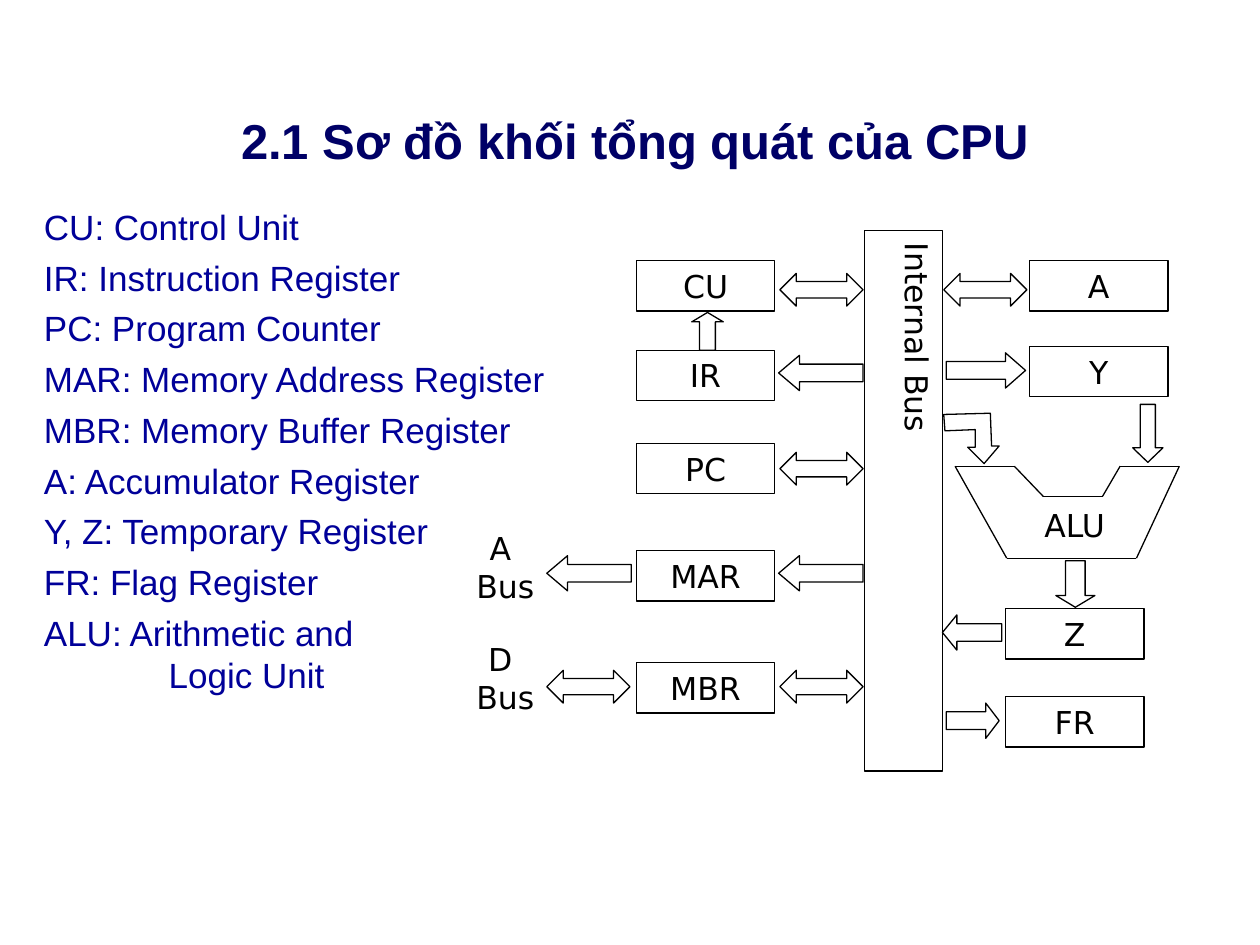
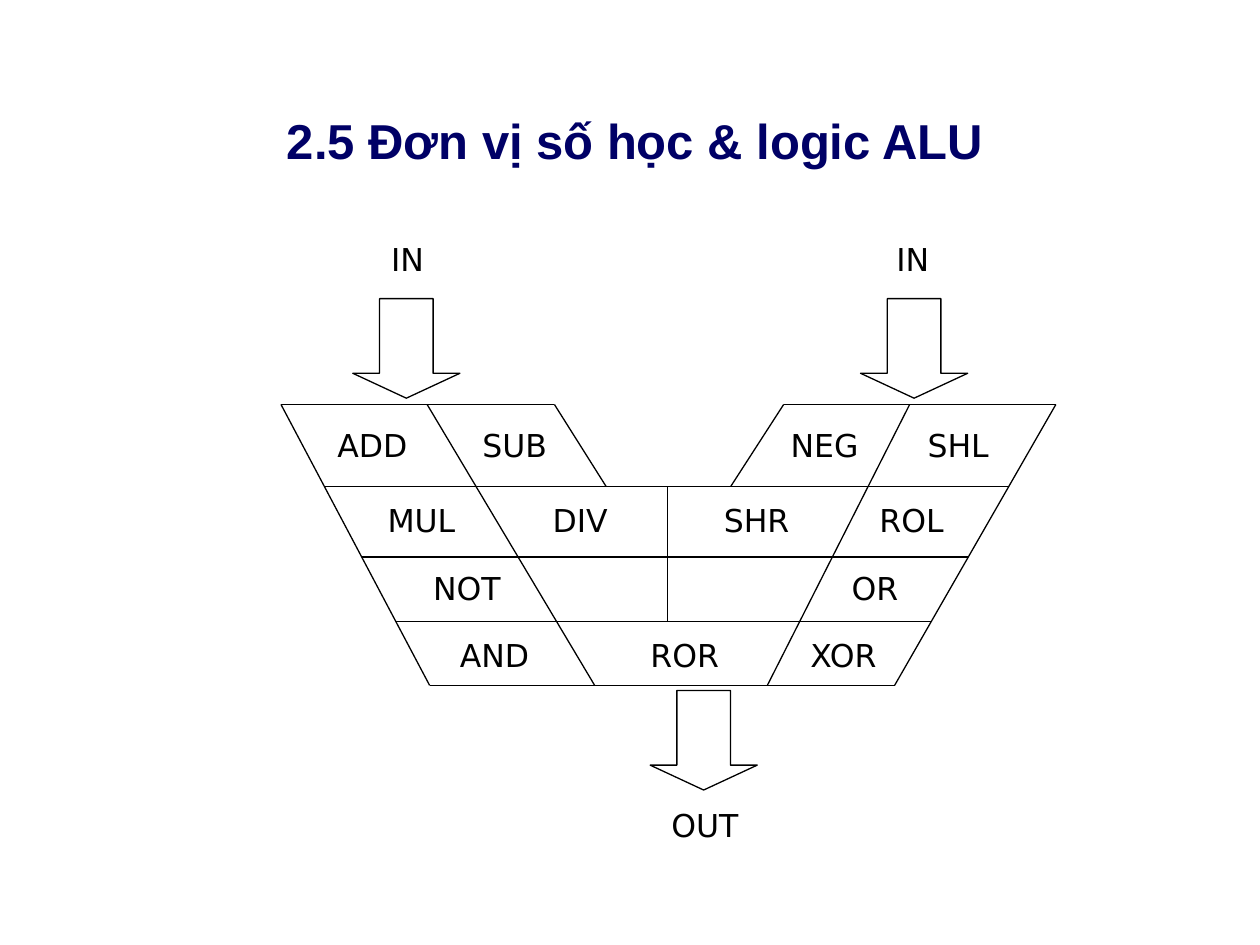
from itertools import pairwise

from lxml import etree
from pptx import Presentation
from pptx import util as u
from pptx.dml.color import RGBColor
from pptx.enum import shapes, text
from pptx.oxml.ns import qn

THEME = {
    "title": {"name": "Arial", "size": 28, "color": "000066", "bold": True},
    "body": {"name": "Arial", "size": 20, "color": "000099", "bold": False},
    "label": {"name": "DejaVu Sans", "size": 18, "color": "000000", "bold": False},
    "line": {"color": "000000", "width": 0.75},
}
SIZE = (10, 7.5)
TITLE_BOX = (0.25, 0.83, 9.58, 0.57)
LEFT, CENTER = text.PP_ALIGN.LEFT, text.PP_ALIGN.CENTER
ARROWS = {
    "both": shapes.MSO_SHAPE.LEFT_RIGHT_ARROW,
    "left": shapes.MSO_SHAPE.LEFT_ARROW,
    "right": shapes.MSO_SHAPE.RIGHT_ARROW,
    "up": shapes.MSO_SHAPE.UP_ARROW,
    "down": shapes.MSO_SHAPE.DOWN_ARROW,
}

CPU_TITLE = "2.1 Sơ đồ khối tổng quát của CPU"
GLOSSARY = [
    "CU: Control Unit", "IR: Instruction Register", "PC: Program Counter",
    "MAR: Memory Address Register", "MBR: Memory Buffer Register",
    "A: Accumulator Register", "Y, Z: Temporary Register",
    "FR: Flag Register", "ALU: Arithmetic and \vLogic Unit",
]
GLOSSARY_BOX = (0.25, 1.58, 4.35, 5.12)
GLOSSARY_HANG = 0.99
BLOCK = (1.1, 0.4)
BLOCK_COLUMNS = {
    5.05: [("CU", 2.07), ("IR", 2.78), ("PC", 3.52), ("MAR", 4.37), ("MBR", 5.26)],
    8.17: [("A", 2.07), ("Y", 2.75)],
    7.98: [("Z", 4.83), ("FR", 5.53)],
}
INTERNAL_BUS = ("Internal Bus", (6.86, 1.83, 0.62, 4.29))
EXTERNAL_BUSES = [("A \vBus", 4.15), ("D \vBus", 5.03)]
BUS_ARROWS = [
    ("both", 0.5, (0.66, 0.26),
     [(6.19, 2.17), (6.19, 3.59), (6.19, 5.32), (4.34, 5.32), (7.49, 2.17)]),
    ("left", 0.59, (0.67, 0.28), [(6.18, 2.82), (6.18, 4.41), (4.34, 4.41)]),
    ("left", 0.41, (0.47, 0.28), [(7.48, 4.88)]),
    ("right", 0.57, (0.63, 0.28), [(7.51, 2.8)]),
    ("right", 0.38, (0.42, 0.28), [(7.51, 5.58)]),
    ("up", 0.3, (0.25, 0.3), [(5.49, 2.48)]),
    ("down", 0.48, (0.24, 0.46), [(8.99, 3.21)]),
    ("down", 0.3, (0.31, 0.37), [(8.38, 4.45)]),
]
BENT_ARROW = [(7.81, 3.68), (7.68, 3.55), (7.74, 3.55), (7.74, 3.41), (7.5, 3.42),
              (7.49, 3.29), (7.86, 3.28), (7.87, 3.54), (7.93, 3.54)]
ALU_OUTLINE = [(7.58, 3.7), (8.05, 3.7), (8.28, 3.94), (8.75, 3.94),
               (8.89, 3.7), (9.36, 3.7), (9.02, 4.43), (7.99, 4.43)]
ALU_LABEL = ("ALU", (8.19, 3.97, 0.79, 0.4))

ALU_TITLE = "2.5 Đơn vị số học & logic ALU"
ROW_LINES = [3.21, 3.86, 4.42, 4.93, 5.44]
LEFT_EDGE, RIGHT_EDGE = (2.23, 3.41), (8.38, 7.1)
NOTCH = [(4.4, 4.81), (6.22, 5.8)]
DIVIDERS = [(3.39, 4.72), (7.22, 6.09)]
MIDDLE = 5.3
OPERATIONS = [
    (3.33, [("ADD", 2.52), ("SUB", 3.65), ("NEG", 6.11), ("SHL", 7.17)]),
    (3.93, [("MUL", 2.91), ("DIV", 4.17), ("SHR", 5.57), ("ROL", 6.8)]),
    (4.47, [("NOT", 3.27), ("OR", 6.51)]),
    (5, [("AND", 3.49), ("ROR", 5), ("XOR", 6.26)]),
    (1.86, [("IN", 2.8), ("IN", 6.81)]),
    (6.35, [("OUT", 5.16)]),
]
OPERATION = (0.87, 0.4)
PORT_ARROW = (0.85, 0.79)
PORTS = [(2.8, 2.37), (6.83, 2.37), (5.16, 5.48)]


def inches(values):
    return [u.Inches(v) for v in values]


def outline(line):
    line.color.rgb = RGBColor.from_string(THEME["line"]["color"])
    line.width = u.Pt(THEME["line"]["width"])


def write(sp, paragraphs, style, align=CENTER, before=0):
    tf = sp.text_frame
    for key, value in {"word_wrap": True,
                       "vertical_anchor": text.MSO_ANCHOR.TOP}.items():
        setattr(tf, key, value)
    look = THEME[style]
    for i, words in enumerate(paragraphs):
        p = tf.paragraphs[0] if i == 0 else tf.add_paragraph()
        p.text = words
        p.alignment, p.space_before = align, u.Pt(before)
        for r in p.runs:
            for key, value in {"name": look["name"], "size": u.Pt(look["size"]),
                               "bold": look["bold"]}.items():
                setattr(r.font, key, value)
            r.font.color.rgb = RGBColor.from_string(look["color"])
    return tf


def add_text(s, box, paragraphs, style="label", align=CENTER, before=0):
    return write(s.shapes.add_textbox(*inches(box)), paragraphs, style, align, before)


def hollow(sp):
    sp.shadow.inherit = False
    sp.fill.background()
    outline(sp.line)
    return sp


def add_block(s, box, words, align=CENTER):
    sp = hollow(s.shapes.add_shape(shapes.MSO_SHAPE.RECTANGLE, *inches(box)))
    return write(sp, [words], "label", align)


def add_arrow(s, kind, head, box):
    sp = hollow(s.shapes.add_shape(ARROWS[kind], *inches(box)))
    sp.adjustments[0], sp.adjustments[1] = 0.5, head


def add_line(s, start, end):
    c = s.shapes.add_connector(shapes.MSO_CONNECTOR.STRAIGHT, *inches(start + end))
    outline(c.line)
    etree.SubElement(c._element.spPr, qn("a:effectLst"))


def add_slide(prs, title):
    s = prs.slides.add_slide(prs.slide_layouts[6])
    add_text(s, TITLE_BOX, [title], "title")
    return s


def build_cpu(prs):
    s = add_slide(prs, CPU_TITLE)
    tf = add_text(s, GLOSSARY_BOX, GLOSSARY, "body", LEFT, before=5)
    for p in tf.paragraphs:
        pPr = p._p.get_or_add_pPr()
        pPr.set("marL", str(u.Inches(GLOSSARY_HANG)))
        pPr.set("indent", str(-u.Inches(GLOSSARY_HANG)))
    for x, blocks in BLOCK_COLUMNS.items():
        for name, y in blocks:
            add_block(s, (x, y, *BLOCK), name)
    name, box = INTERNAL_BUS
    tf = add_block(s, box, name, LEFT)
    tf._txBody.bodyPr.set("vert", "eaVert")
    for kind, head, size, places in BUS_ARROWS:
        for place in places:
            add_arrow(s, kind, head, place + size)
    start, *rest = [tuple(inches(point)) for point in BENT_ARROW]
    fb = s.shapes.build_freeform(*start)
    fb.add_line_segments(rest, close=True)
    hollow(fb.convert_to_shape())
    for start, end in pairwise(ALU_OUTLINE + ALU_OUTLINE[:1]):
        add_line(s, start, end)
    name, box = ALU_LABEL
    add_text(s, box, [name], align=LEFT)
    for name, y in EXTERNAL_BUSES:
        add_text(s, (3.67, y, 0.68, 0.7), [name])


def build_alu(prs):
    s = add_slide(prs, ALU_TITLE)
    top, second, *_, fourth, bottom = ROW_LINES

    def edge_x(edge, y):
        return edge[0] + (edge[1] - edge[0]) * (y - top) / (bottom - top)

    for y in ROW_LINES[1:]:
        add_line(s, (edge_x(LEFT_EDGE, y), y), (edge_x(RIGHT_EDGE, y), y))
    for edge, notch in zip((LEFT_EDGE, RIGHT_EDGE), NOTCH):
        add_line(s, (edge[0], top), (notch[0], top))
        add_line(s, (notch[0], top), (notch[1], second))
    for upper, lower in (LEFT_EDGE, RIGHT_EDGE, *DIVIDERS):
        add_line(s, (upper, top), (lower, bottom))
    add_line(s, (MIDDLE, second), (MIDDLE, fourth))
    for y, row in OPERATIONS:
        for name, x in row:
            add_text(s, (x, y, *OPERATION), [name])
    for place in PORTS:
        add_arrow(s, "down", 0.25, place + PORT_ARROW)


def main():
    prs = Presentation()
    prs.slide_width, prs.slide_height = inches(SIZE)
    build_cpu(prs)
    build_alu(prs)
    prs.save("out.pptx")


if __name__ == "__main__":
    main()
